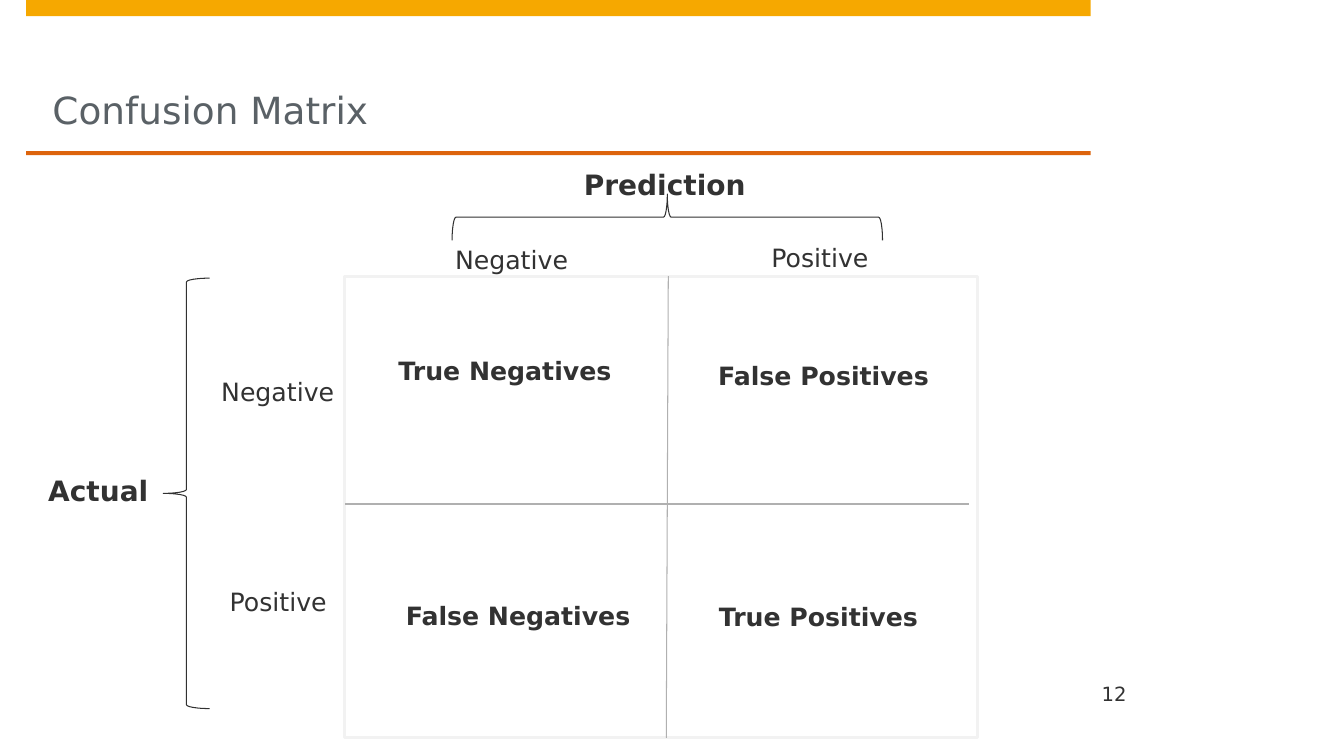
from dataclasses import dataclass

from lxml import etree
from pptx import Presentation
from pptx.dml.color import RGBColor
from pptx.enum.shapes import MSO_CONNECTOR, MSO_SHAPE
from pptx.enum.text import MSO_ANCHOR, MSO_AUTO_SIZE, PP_ALIGN
from pptx.oxml.ns import qn
from pptx.shapes.autoshape import Shape
from pptx.slide import Slide
from pptx.util import Pt

RECTANGLE = MSO_SHAPE.RECTANGLE
LEFT_BRACE = MSO_SHAPE.LEFT_BRACE
STRAIGHT = MSO_CONNECTOR.STRAIGHT
TOP, MIDDLE, BOTTOM = MSO_ANCHOR.TOP, MSO_ANCHOR.MIDDLE, MSO_ANCHOR.BOTTOM
LEFT, CENTER = PP_ALIGN.LEFT, PP_ALIGN.CENTER
NO_AUTOSIZE = MSO_AUTO_SIZE.NONE


@dataclass(frozen=True)
class Theme:
    font: str = "DejaVu Sans"
    title_color: str = "5A6166"
    text_color: str = "323232"
    band: str = "F6A800"
    rule: str = "DD640C"
    matrix_fill: str = "FFFFFF"
    matrix_border: str = "F2F2F2"
    divider: str = "B0B0B0"
    brace: str = "313131"
    title_size: float = 26.7
    axis_size: float = 20
    label_size: float = 18
    number_size: float = 14
    border_width: float = 2
    thin_width: float = 0.75


THEME = Theme()


@dataclass(frozen=True)
class Box:
    left: float
    top: float
    width: float
    height: float


@dataclass(frozen=True)
class Label:
    text: str
    box: Box
    size: float = THEME.label_size
    bold: bool = False
    anchor: MSO_ANCHOR = TOP
    align: PP_ALIGN = CENTER
    color: str = THEME.text_color
    insets: tuple[float, float, float, float] = (7.2, 3.6, 7.2, 3.6)


@dataclass(frozen=True)
class Panel:
    box: Box
    kind: MSO_SHAPE = RECTANGLE
    fill: str | None = None
    line: str | None = None
    line_width: float = THEME.thin_width
    rotation: float = 0


@dataclass(frozen=True)
class Divider:
    start: tuple[float, float]
    end: tuple[float, float]


TITLE = Label("Confusion Matrix", Box(37.44, 11.52, 722.16, 97.2), THEME.title_size,
              anchor=BOTTOM, align=LEFT, color=THEME.title_color, insets=(0, 0, 0, 14.4))

PANELS = [
    Panel(Box(18.72, 0, 760.32, 11.52), fill=THEME.band),
    Panel(Box(18.72, 108, 760.32, 2.88), fill=THEME.rule),
    Panel(Box(246.24, 197.28, 452.16, 329.76), fill=THEME.matrix_fill,
          line=THEME.matrix_border, line_width=THEME.border_width),
    Panel(Box(116.64, 198.72, 33.12, 307.44), LEFT_BRACE, line=THEME.brace),
    Panel(Box(460.08, 1.44, 33.12, 307.44), LEFT_BRACE, line=THEME.brace, rotation=90),
]

DIVIDERS = [
    Divider((477.36, 197.28), (475.92, 527.04)),
    Divider((691.92, 360), (246.24, 360)),
]

LABELS = [
    Label("Prediction", Box(381.6, 115.92, 186.48, 31.68), THEME.axis_size, bold=True),
    Label("Actual", Box(5.04, 334.8, 130.32, 31.68), THEME.axis_size, bold=True),
    Label("Negative", Box(246.24, 170.64, 238.32, 28.8)),
    Label("Positive", Box(478.8, 169.92, 213.84, 28.8)),
    Label("Negative", Box(81.36, 264.96, 234, 28.8)),
    Label("Positive", Box(107.28, 415.44, 182.88, 28.8)),
    Label("True Negatives", Box(261.36, 203.76, 198.72, 122.4), bold=True, anchor=MIDDLE),
    Label("False Positives", Box(496.8, 206.64, 182.88, 122.4), bold=True, anchor=MIDDLE),
    Label("False Negatives", Box(278.64, 378.72, 182.88, 122.4), bold=True, anchor=MIDDLE),
    Label("True Positives", Box(477.36, 360, 214.56, 160.56), bold=True, anchor=MIDDLE),
    Label("12", Box(778.32, 485.28, 162.72, 18.72), THEME.number_size,
          anchor=BOTTOM, align=LEFT, insets=(8.64, 0, 0, 0)),
]


def place(shape: Shape, box: Box) -> None:
    shape.left, shape.top = Pt(box.left), Pt(box.top)
    shape.width, shape.height = Pt(box.width), Pt(box.height)


def write_label(shape: Shape, label: Label) -> None:
    place(shape, label.box)
    text_frame = shape.text_frame
    text_frame.text = label.text
    text_frame.word_wrap = True
    text_frame.auto_size = NO_AUTOSIZE
    text_frame.vertical_anchor = label.anchor
    left, top, right, bottom = label.insets
    text_frame.margin_left, text_frame.margin_top = Pt(left), Pt(top)
    text_frame.margin_right, text_frame.margin_bottom = Pt(right), Pt(bottom)
    paragraph = text_frame.paragraphs[0]
    paragraph.alignment = label.align
    font = paragraph.runs[0].font
    font.name = THEME.font
    font.size = Pt(label.size)
    font.bold = label.bold
    font.color.rgb = RGBColor.from_string(label.color)


def add_label(slide: Slide, label: Label) -> None:
    write_label(slide.shapes.add_textbox(0, 0, 0, 0), label)


def add_panel(slide: Slide, panel: Panel) -> None:
    shape = slide.shapes.add_shape(panel.kind, 0, 0, 0, 0)
    place(shape, panel.box)
    shape.rotation = panel.rotation
    shape.shadow.inherit = False
    if panel.fill:
        shape.fill.solid()
        shape.fill.fore_color.rgb = RGBColor.from_string(panel.fill)
    else:
        shape.fill.background()
    if panel.line:
        shape.line.color.rgb = RGBColor.from_string(panel.line)
        shape.line.width = Pt(panel.line_width)
    else:
        shape.line.fill.background()


def add_divider(slide: Slide, divider: Divider) -> None:
    points = [Pt(value) for value in divider.start + divider.end]
    connector = slide.shapes.add_connector(STRAIGHT, *points)
    connector.line.color.rgb = RGBColor.from_string(THEME.divider)
    connector.line.width = Pt(THEME.thin_width)
    etree.SubElement(connector._element.spPr, qn("a:effectLst"))


def main() -> None:
    presentation = Presentation()
    presentation.slide_width, presentation.slide_height = Pt(960), Pt(540)
    slide = presentation.slides.add_slide(presentation.slide_layouts[5])
    write_label(slide.shapes.title, TITLE)
    for panel in PANELS:
        add_panel(slide, panel)
    for divider in DIVIDERS:
        add_divider(slide, divider)
    for label in LABELS:
        add_label(slide, label)
    presentation.save("out.pptx")


if __name__ == "__main__":
    main()
